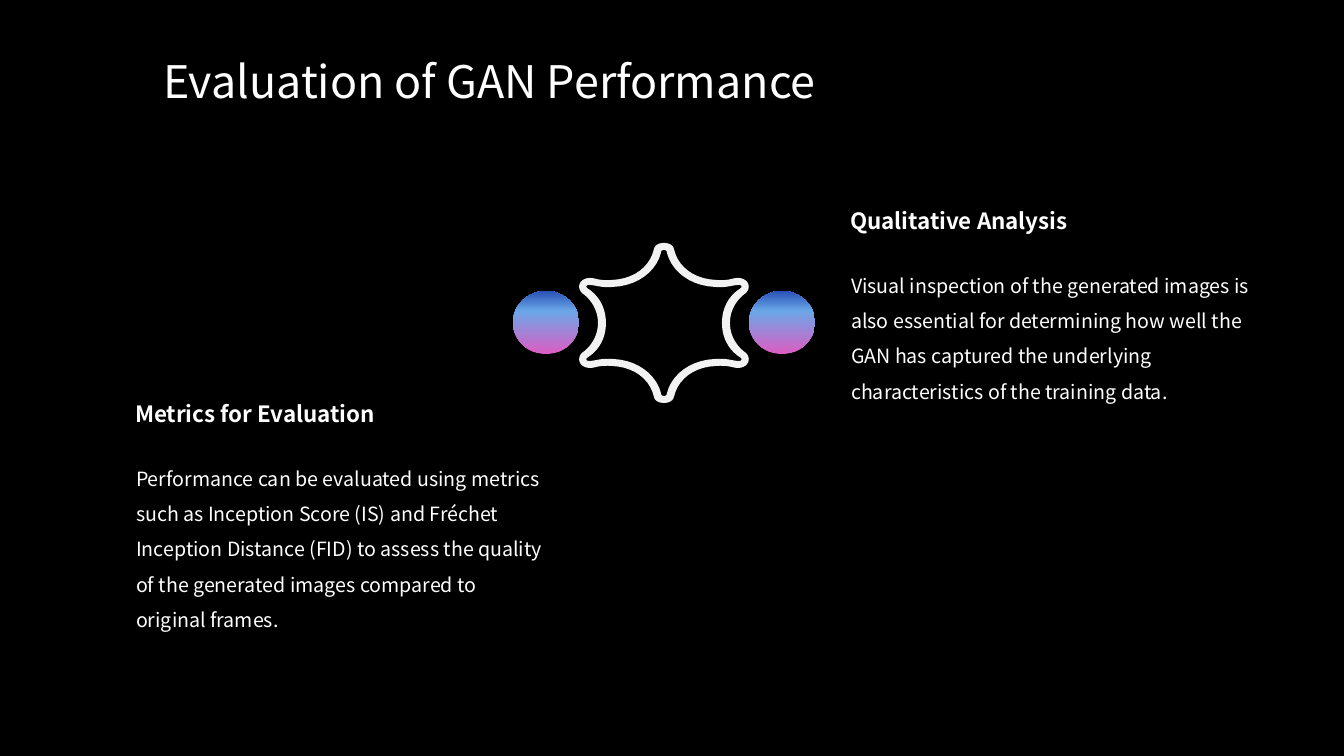
from copy import deepcopy
from dataclasses import dataclass

from pptx import Presentation
from pptx.dml.color import RGBColor
from pptx.enum.shapes import MSO_SHAPE
from pptx.enum.text import MSO_ANCHOR, MSO_AUTO_SIZE, PP_ALIGN
from pptx.oxml import parse_xml
from pptx.oxml.ns import nsdecls, qn
from pptx.util import Pt

EMU = 914400 / 100.8  # one px


@dataclass(frozen=True)
class Theme:
    font: str = "Noto Sans CJK SC"
    back: str = "000000"
    text: str = "FFFFFF"
    star: str = "F2F2F2"
    glow: tuple = ((0, "DC5DC2"), (0.68, "6BA7E8"), (1, "2851B6"))
    title: int = 32
    head: int = 16
    body: int = 14


THEME = Theme()

# Upper right quarter of each star contour, in px from the centre:
# a start point, then cubic curves (two handles and an end point).
OUTER = ((0, -80), (
    ((5, -80), (9, -78), (10, -74)),
    ((14, -56), (30, -44), (52, -43)),
    ((66, -42), (68, -45), (74, -45)),
    ((84, -45), (88, -36), (82, -30)),
    ((72, -23), (66, -12), (66, 0)),
))
INNER = ((0, -73), (
    ((2, -73), (3, -72), (3, -70)),
    ((8, -51), (27, -37), (51, -36)),
    ((64, -35), (68, -38), (75, -38)),
    ((78, -38), (78, -36), (77, -35)),
    ((64, -27), (58, -14), (58, 0)),
))

TITLE = "Evaluation of GAN Performance"
NOTES = (
    ((125, 395), "Metrics for Evaluation",
     "Performance can be evaluated using metrics such as Inception Score (IS) "
     "and Fréchet Inception Distance (FID) to assess the quality of the "
     "generated images compared to original frames."),
    ((840, 202), "Qualitative Analysis",
     "Visual inspection of the generated images is also essential for "
     "determining how well the GAN has captured the underlying "
     "characteristics of the training data."),
)


def emu(px):
    return round(px * EMU)


def color(code):
    return RGBColor.from_string(code)


def write(holder, box, text, size, bold=False, lead=1.0):
    """Move a placeholder to the box and fill it with one plain paragraph."""
    holder.left, holder.top, holder.width, holder.height = map(emu, box)
    frame = holder.text_frame
    frame.word_wrap = True
    frame.auto_size = MSO_AUTO_SIZE.NONE
    frame.vertical_anchor = MSO_ANCHOR.TOP
    para = frame.paragraphs[0]
    para.alignment = PP_ALIGN.LEFT
    para.line_spacing = lead
    para.space_before = Pt(0)
    props = para._p.get_or_add_pPr()
    props.set("marL", "0")
    props.set("indent", "0")
    props.append(parse_xml(f"<a:buNone {nsdecls('a')}/>"))
    run = para.add_run()
    run.text = text
    font = run.font
    font.name, font.size, font.bold = THEME.font, Pt(size), bold
    font.color.rgb = color(THEME.text)


def note(holders, spot, head, body):
    left, top = spot
    write(holders[0], (left, top, 428, 37), head, THEME.head, bold=True)
    write(holders[1], (left + 1, top + 55, 428, 220), body, THEME.body, lead=1.5)


def orb(slide, box):
    shape = slide.shapes.add_shape(MSO_SHAPE.OVAL, *map(emu, box))
    shape.shadow.inherit = False
    shape.line.fill.background()
    fill = shape.fill
    fill.gradient()
    fill.gradient_angle = 90
    stops = shape.element.find(".//" + qn("a:gsLst"))
    stops.append(deepcopy(stops[0]))
    for stop, (place, code) in zip(fill.gradient_stops, THEME.glow):
        stop.position = place
        stop.color.rgb = color(code)


def curve(points, steps=10):
    """Sample a cubic curve, leaving out its start point."""
    for step in range(1, steps + 1):
        t = step / steps
        s = 1 - t
        parts = (s ** 3, 3 * s * s * t, 3 * s * t * t, t ** 3)
        yield tuple(sum(w * p[axis] for w, p in zip(parts, points))
                    for axis in (0, 1))


def ring(contour):
    """Mirror a quarter contour into a whole one."""
    start, curves = contour
    arc = [start]
    for points in curves:
        arc += curve((arc[-1], *points))
    half = arc + [(x, -y) for x, y in arc[-2::-1]]
    return half + [(-x, y) for x, y in half[-2:0:-1]]


def star(slide, box):
    left, top, width, height = box
    mid_x, mid_y = left + width / 2, top + height / 2
    outer, inner = ([(emu(mid_x + x), emu(mid_y + y)) for x, y in ring(part)]
                    for part in (OUTER, INNER))
    pen = slide.shapes.build_freeform(*outer[0])
    pen.add_line_segments(outer[1:], close=True)
    pen.move_to(*inner[0])
    pen.add_line_segments(inner[1:], close=True)
    shape = pen.convert_to_shape()
    shape.shadow.inherit = False
    shape.fill.solid()
    shape.fill.fore_color.rgb = color(THEME.star)
    shape.line.fill.background()


def emblem(slide, box):
    """Place the star between two orbs, centred in the box."""
    left, top, width, height = box
    wide, high = 66, 63
    level = top + (height - high) // 2
    for side in (left, left + width - wide):
        orb(slide, (side, level, wide, high))
    star(slide, box)


def main():
    deck = Presentation()
    deck.slide_width, deck.slide_height = emu(1344), emu(756)
    slide = deck.slides.add_slide(deck.slide_layouts.get_by_name("Comparison"))
    back = slide.background.fill
    back.solid()
    back.fore_color.rgb = color(THEME.back)
    write(slide.shapes.title, (153, 49, 785, 65), TITLE, THEME.title)
    cells = {cell.placeholder_format.idx: cell for cell in slide.placeholders}
    for first, (spot, head, body) in zip((1, 3), NOTES):
        note((cells[first], cells[first + 1]), spot, head, body)
    emblem(slide, (513, 243, 302, 160))
    deck.save("out.pptx")


if __name__ == "__main__":
    main()
